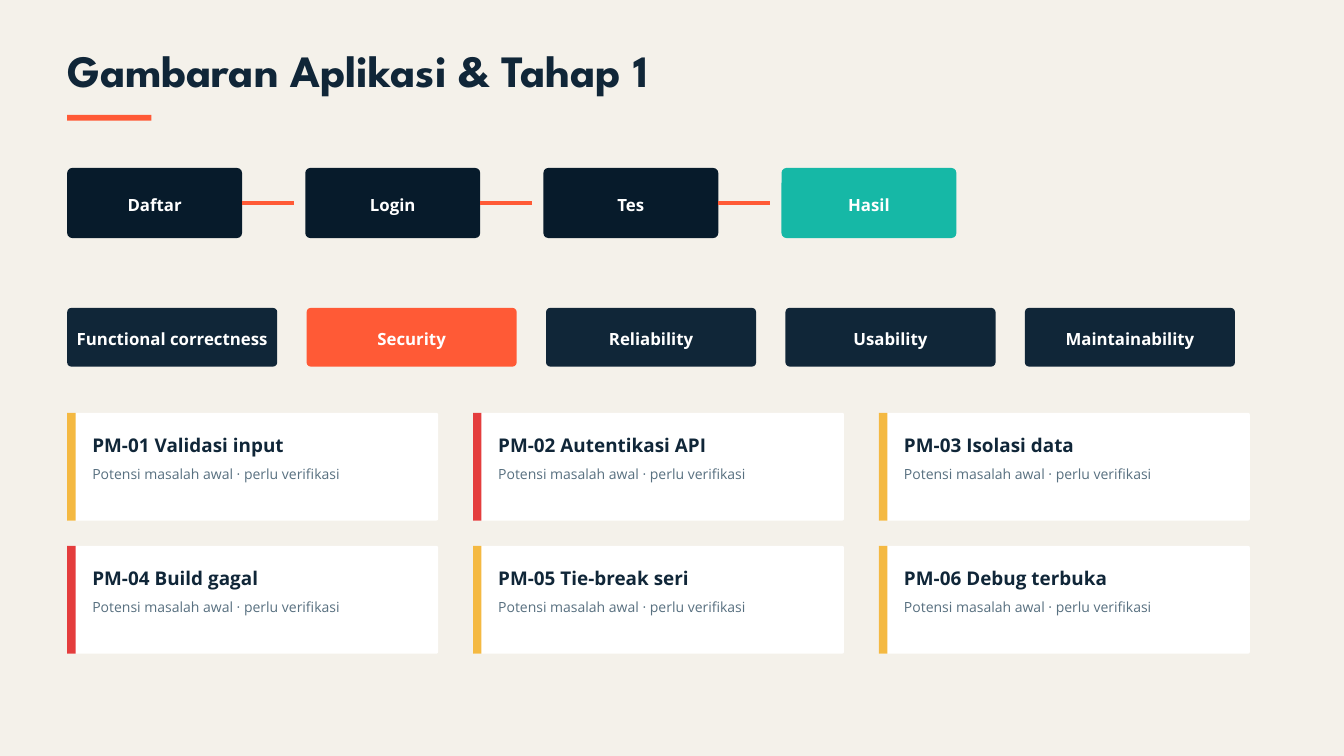
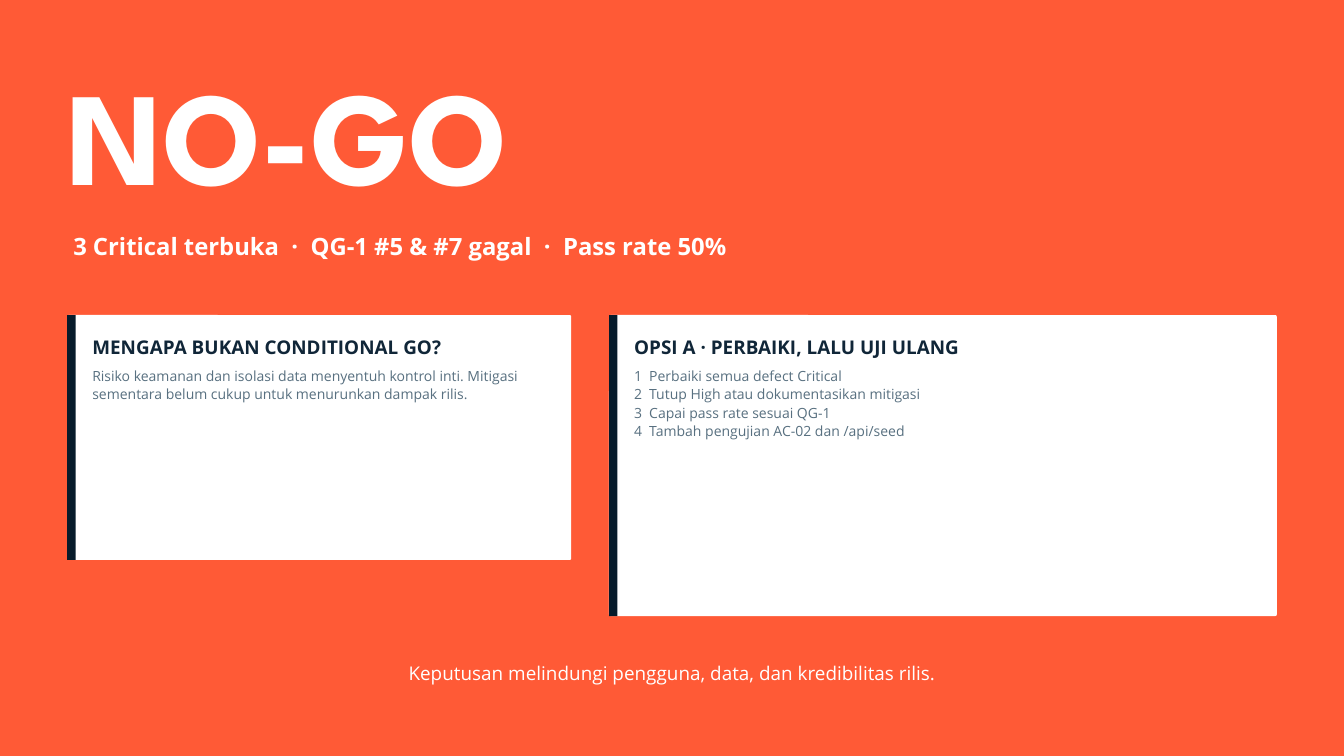
"""Build the two slides on the application overview and the NO-GO release decision."""
from lxml.etree import SubElement
from pptx import Presentation
from pptx.dml.color import RGBColor
from pptx.enum.shapes import MSO_CONNECTOR as Line, MSO_SHAPE as Shape
from pptx.enum.text import MSO_ANCHOR as Anchor, PP_ALIGN as Align
from pptx.oxml.ns import qn
from pptx.util import Cm, Pt

CREAM, ORANGE, WHITE = "F4F1EA", "FF5A36", "FFFFFF"
NAVY, DARK, GREY = "102638", "071B2B", "587080"
TEAL, YELLOW, RED = "16B8A6", "F4B942", "E43D3D"
HEADING, BODY = "League Spartan", "Open Sans"
MARGIN = 2.54
hex_color = RGBColor.from_string


def add_block(page, left, top, width, height, color, radius=0):
    kind = Shape.ROUNDED_RECTANGLE if radius else Shape.RECTANGLE
    block = page.shapes.add_shape(kind, Cm(left), Cm(top), Cm(width), Cm(height))
    if radius:
        block.adjustments[0] = radius / height
    block.shadow.inherit = False
    block.fill.solid()
    block.fill.fore_color.rgb = hex_color(color)
    block.line.fill.background()
    return block


def write(box, lines, size, leading, color, bold=False, font=BODY,
          align=Align.LEFT, anchor=Anchor.TOP, inset=0):
    frame = box.text_frame
    frame.word_wrap = True
    frame.vertical_anchor = anchor
    frame.margin_left = frame.margin_right = Cm(inset)
    frame.margin_top = frame.margin_bottom = Cm(inset)
    frame.text = "\n".join(lines)
    for para in frame.paragraphs:
        para.alignment = align
        para.line_spacing = Pt(leading)
        if len(lines) > 1:
            props = para._p.get_or_add_pPr()
            props.set("marL", str(Cm(0.57)))
            props.set("indent", str(Cm(-0.57)))
            SubElement(props, qn("a:buFont"), typeface=font)
            SubElement(props, qn("a:buAutoNum"), type="arabicPlain")
        para.font.name = font
        para.font.size = Pt(size)
        para.font.bold = bold
        para.font.color.rgb = hex_color(color)


deck = Presentation()
deck.slide_width, deck.slide_height = Cm(50.8), Cm(28.58)
overview, decision = [deck.slides.add_slide(deck.slide_layouts[6]) for _ in range(2)]
for page, color in ((overview, CREAM), (decision, ORANGE)):
    page.background.fill.solid()
    page.background.fill.fore_color.rgb = hex_color(color)

title = overview.shapes.add_textbox(Cm(MARGIN), Cm(1.93), Cm(39.67), Cm(1.78))
write(title, ["Gambaran Aplikasi & Tahap 1"], 48, 49, NAVY, True, HEADING)
add_block(overview, MARGIN, 4.34, 3.18, 0.22, ORANGE)

steps = [("Daftar", DARK), ("Login", DARK), ("Tes", DARK), ("Hasil", TEAL)]
qualities = [("Functional correctness", NAVY), ("Security", ORANGE),
             ("Reliability", NAVY), ("Usability", NAVY), ("Maintainability", NAVY)]
rows = [(steps, 6.35, 6.61, 2.65, 9, 0.19), (qualities, 11.64, 7.94, 2.22, 9.05, 0.16)]
for labels, top, width, height, pitch, radius in rows:
    for index, (label, color) in enumerate(labels):
        pill = add_block(overview, MARGIN + index * pitch, top, width, height, color, radius)
        write(pill, [label], 18, 25.2, WHITE, True,
              align=Align.CENTER, anchor=Anchor.MIDDLE, inset=0.15)

for index in range(len(steps) - 1):
    start = MARGIN + index * 9 + 6.61
    link = overview.shapes.add_connector(
        Line.STRAIGHT, Cm(start), Cm(7.67), Cm(start + 1.97), Cm(7.67))
    link.line.color.rgb = hex_color(ORANGE)
    link.line.width = Pt(3.75)
    SubElement(link._element.spPr, qn("a:effectLst"))

issues = [("PM-01 Validasi input", YELLOW), ("PM-02 Autentikasi API", RED),
          ("PM-03 Isolasi data", YELLOW), ("PM-04 Build gagal", RED),
          ("PM-05 Tie-break seri", YELLOW), ("PM-06 Debug terbuka", YELLOW)]
cards = []
for index, (heading, accent) in enumerate(issues):
    row, column = divmod(index, 3)
    cards.append((overview, MARGIN + column * 15.34, 15.61 + row * 5.03, 14.02, 4.07,
                  accent, heading, ["Potensi masalah awal · perlu verifikasi"]))
cards.append((decision, MARGIN, 11.91, 19.05, 9.26, DARK, "MENGAPA BUKAN CONDITIONAL GO?",
              ["Risiko keamanan dan isolasi data menyentuh kontrol inti. Mitigasi "
               "sementara belum cukup untuk menurunkan dampak rilis."]))
cards.append((decision, 23.02, 11.91, 25.24, 11.38, DARK, "OPSI A · PERBAIKI, LALU UJI ULANG",
              ["Perbaiki semua defect Critical",
               "Tutup High atau dokumentasikan mitigasi",
               "Capai pass rate sesuai QG-1",
               "Tambah pengujian AC-02 dan /api/seed"]))
for page, left, top, width, height, accent, heading, lines in cards:
    add_block(page, left, top, width, height, WHITE, 0.06)
    add_block(page, left, top, 0.32, height, accent)
    text_left, text_width = Cm(left + 0.95), Cm(width - 1.8)
    box = page.shapes.add_textbox(text_left, Cm(top + 0.67), text_width, Cm(0.91))
    write(box, [heading], 20.25, 27.3, NAVY, True)
    box = page.shapes.add_textbox(text_left, Cm(top + 1.94), text_width, Cm(0.68 * len(lines)))
    write(box, lines, 15, 19.5, GREY)

verdict = decision.shapes.add_textbox(Cm(MARGIN), Cm(3.5), Cm(29.11), Cm(4.93))
write(verdict, ["NO-GO"], 142.5, 128.2, WHITE, True, HEADING)
summary = decision.shapes.add_textbox(Cm(2.77), Cm(8.64), Cm(43.66), Cm(1.17))
write(summary, ["3 Critical terbuka  ·  QG-1 #5 & #7 gagal  ·  Pass rate 50%"],
      25.5, 34.4, WHITE, True)
closing = decision.shapes.add_textbox(Cm(5.82), Cm(24.89), Cm(39.17), Cm(0.94))
write(closing, ["Keputusan melindungi pengguna, data, dan kredibilitas rilis."],
      20.25, 27.3, WHITE, align=Align.CENTER)

deck.save("out.pptx")
